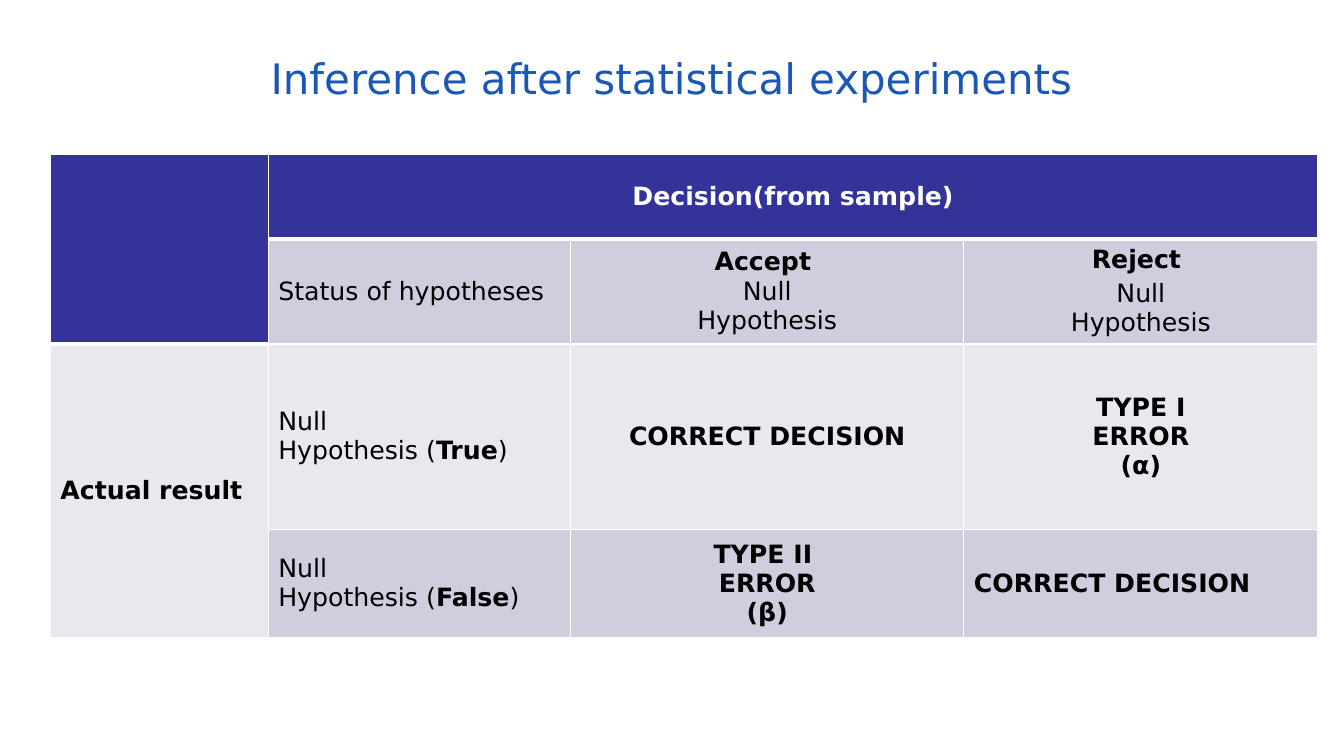
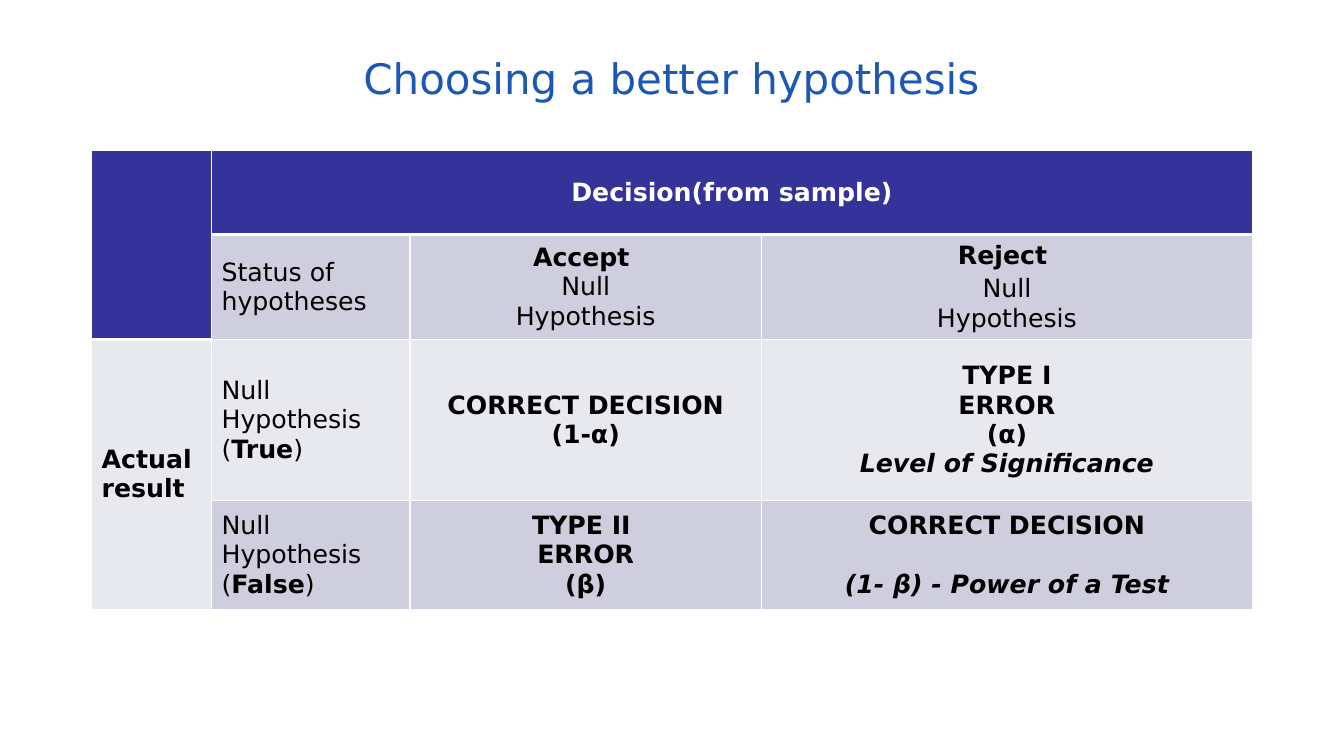
from collections import namedtuple

from lxml import etree
from pptx import Presentation
from pptx.dml.color import RGBColor
from pptx.enum.text import MSO_ANCHOR, PP_ALIGN
from pptx.oxml.ns import qn
from pptx.util import Cm, Pt

LEFT, CENTER = PP_ALIGN.LEFT, PP_ALIGN.CENTER
MIDDLE = MSO_ANCHOR.MIDDLE

FONT = "DejaVu Sans"
BLUE = RGBColor(0x1B, 0x57, 0xB5)
NAVY = RGBColor(0x33, 0x33, 0x99)
LAVENDER = RGBColor(0xCE, 0xCE, 0xDE)
PALE = RGBColor(0xE8, 0xE8, 0xEF)
WHITE = RGBColor(0xFF, 0xFF, 0xFF)
BLACK = RGBColor(0x00, 0x00, 0x00)

PLAIN = {"bold": False}
BOLD = {"bold": True}
BOLD_ITALIC = {"bold": True, "italic": True}

TITLE_BOX = (1.27, 0.76, 31.32, 2.41)
TITLE_MARGINS = {"margin_left": 0.28, "margin_right": 0.28,
                 "margin_top": 0.15, "margin_bottom": 0.15}

Para = namedtuple("Para", "runs align before", defaults=(CENTER, 0))


def bold_lines(*texts):
    return [Para([(text, BOLD)]) for text in texts]


def hypothesis_state(state):
    return [Para([("Null", PLAIN)], LEFT),
            Para([("Hypothesis (", PLAIN), (state, BOLD), (")", PLAIN)], LEFT)]


def decision_head(verb, gap=0):
    return [Para([(verb, BOLD)]),
            Para([("Null", PLAIN)], before=gap),
            Para([("Hypothesis", PLAIN)])]


TYPE_1 = bold_lines("TYPE I", "ERROR", "(α)")
TYPE_2 = bold_lines("TYPE II ", "ERROR", "(β)")

SLIDES = [
    {
        "title": "Inference after statistical experiments",
        "origin": (1.27, 3.89),
        "cols": (5.49, 7.62, 9.91, 8.92),
        "rows": (2.13, 2.51, 4.67, 2.74),
        "outcomes": [
            [bold_lines("CORRECT DECISION"), TYPE_1],
            [TYPE_2, [Para([("CORRECT DECISION", BOLD)], LEFT)]],
        ],
    },
    {
        "title": "Choosing a better hypothesis",
        "origin": (2.31, 3.78),
        "cols": (3.02, 5, 8.86, 12.37),
        "rows": (2.13, 2.51, 4.06, 2.74),
        "outcomes": [
            [bold_lines("CORRECT DECISION", "(1-α)"),
             TYPE_1 + [Para([("Level of Significance", BOLD_ITALIC)])]],
            [TYPE_2,
             bold_lines("CORRECT DECISION")
             + [Para([("(1- β) - Power of a Test", BOLD_ITALIC)], before=21)]],
        ],
    },
]


def write(tf, paras, size, color):
    for i, para in enumerate(paras):
        p = tf.paragraphs[0] if i == 0 else tf.add_paragraph()
        p.alignment = para.align
        p.space_before = Pt(para.before)
        for text, style in para.runs:
            r = p.add_run()
            r.text = text
            r.font.color.rgb = color
            for name, value in {"name": FONT, "size": Pt(size), **style}.items():
                setattr(r.font, name, value)


def set_borders(cell, widths):
    """Draw white borders; widths maps a side (L, R, T, B) to points."""
    tc_pr = cell._tc.get_or_add_tcPr()
    for i, (side, width) in enumerate(widths.items()):
        ln = etree.Element(qn(f"a:ln{side}"), w=str(Pt(width)))
        fill = etree.SubElement(ln, qn("a:solidFill"))
        etree.SubElement(fill, qn("a:srgbClr"), val=str(WHITE))
        tc_pr.insert(i, ln)


def add_title(slide, text, box):
    sp = slide.shapes.add_textbox(*map(Cm, box))
    tf = sp.text_frame
    tf.word_wrap = True
    tf.vertical_anchor = MIDDLE
    for name, value in TITLE_MARGINS.items():
        setattr(tf, name, Cm(value))
    write(tf, [Para([(text, {})])], 30, BLUE)


def cell_fill(row, col):
    if row == 0 or (row, col) == (1, 0):
        return NAVY
    return PALE if row == 2 or col == 0 else LAVENDER


def add_decision_table(slide, origin, cols, rows, outcomes):
    box = (*origin, sum(cols), sum(rows))
    table = slide.shapes.add_table(len(rows), len(cols), *map(Cm, box)).table
    table.first_row = table.horz_banding = False
    for column, width in zip(table.columns, cols):
        column.width = Cm(width)
    for row, height in zip(table.rows, rows):
        row.height = Cm(height)

    contents = [
        [[], bold_lines("Decision(from sample)"), [], []],
        [[], [Para([("Status of hypotheses", PLAIN)], LEFT)],
         decision_head("Accept "), decision_head("Reject ", gap=3)],
        [[Para([("Actual result", BOLD)], LEFT)],
         hypothesis_state("True"), *outcomes[0]],
        [[], hypothesis_state("False"), *outcomes[1]],
    ]
    for i, row in enumerate(contents):
        for j, paras in enumerate(row):
            cell = table.cell(i, j)
            cell.vertical_anchor = MIDDLE
            cell.fill.solid()
            cell.fill.fore_color.rgb = cell_fill(i, j)
            write(cell.text_frame, paras, 18, WHITE if i == 0 else BLACK)
            last_head_row = 1 if j == 0 else 0
            set_borders(cell, {"L": 1, "R": 1,
                               "T": 3 if i == last_head_row + 1 else 1,
                               "B": 3 if i <= last_head_row else 1})

    for first, last in [((0, 0), (1, 0)), ((0, 1), (0, 3)), ((2, 0), (3, 0))]:
        table.cell(*first).merge(table.cell(*last))


def main():
    prs = Presentation()
    prs.slide_width, prs.slide_height = Cm(33.87), Cm(19.05)
    for content in SLIDES:
        slide = prs.slides.add_slide(prs.slide_layouts[6])
        add_title(slide, content["title"], TITLE_BOX)
        add_decision_table(slide, content["origin"], content["cols"],
                           content["rows"], content["outcomes"])
    prs.save("out.pptx")


if __name__ == "__main__":
    main()
